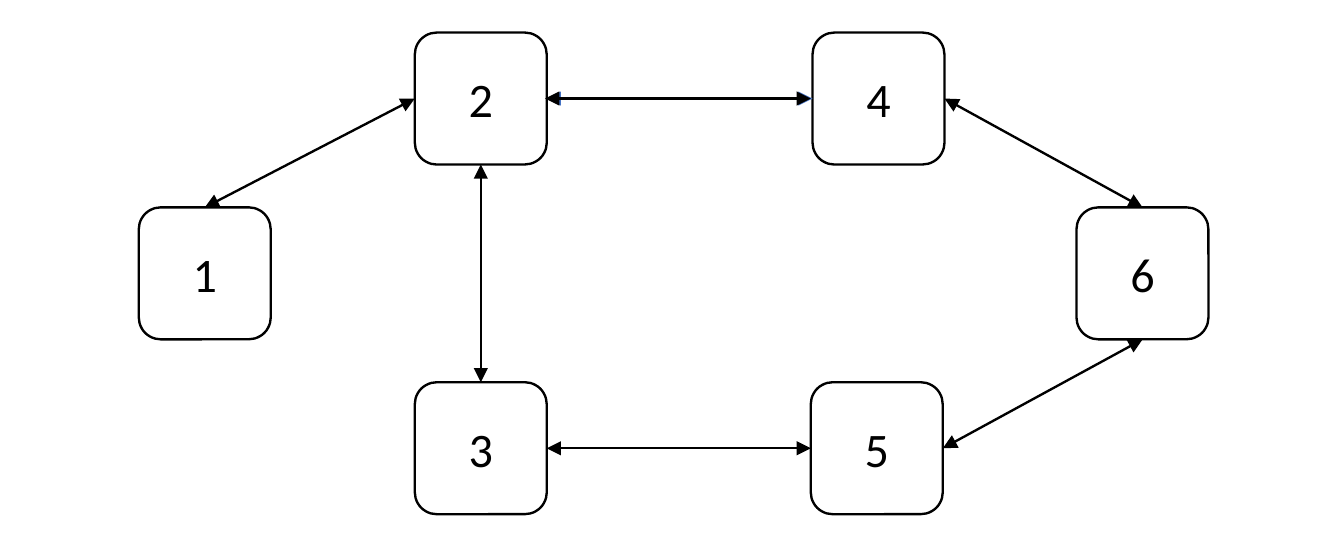
from lxml import etree
from pptx import Presentation
from pptx.dml.color import RGBColor
from pptx.enum.shapes import MSO_CONNECTOR, MSO_SHAPE
from pptx.enum.text import MSO_ANCHOR, PP_ALIGN
from pptx.oxml.ns import qn
from pptx.util import Inches, Pt

BLACK = RGBColor(0x00, 0x00, 0x00)
WHITE = RGBColor(0xFF, 0xFF, 0xFF)
BLUE = RGBColor(0x44, 0x72, 0xC4)
ROUNDED = MSO_SHAPE.ROUNDED_RECTANGLE
STRAIGHT = MSO_CONNECTOR.STRAIGHT
MIDDLE = MSO_ANCHOR.MIDDLE
CENTER = PP_ALIGN.CENTER

TOP, LEFT, BOTTOM, RIGHT = range(4)
NODE_SIZE = 0.77
UPPER_ROW, MIDDLE_ROW, LOWER_ROW = (0.19 + 1.02 * row for row in range(3))

NODES = {
    "5": (4.73, LOWER_ROW),
    "3": (2.42, LOWER_ROW),
    "6": (6.28, MIDDLE_ROW),
    "4": (4.74, UPPER_ROW),
    "2": (2.42, UPPER_ROW),
    "1": (0.81, MIDDLE_ROW),
}
LINKS = [
    ("2", LEFT, "1", TOP, BLACK, 1, 0),
    ("2", RIGHT, "4", LEFT, BLUE, 0.5, 0),
    ("4", RIGHT, "6", TOP, BLACK, 1, 0),
    ("6", BOTTOM, "5", RIGHT, BLACK, 1, 0),
    ("5", LEFT, "3", RIGHT, BLACK, 1, 0),
    ("3", TOP, "2", BOTTOM, BLACK, 1, 0),
    ("2", RIGHT, "4", LEFT, BLACK, 1, -0.01),
]
FRAME_FORMAT = {
    "vertical_anchor": MIDDLE,
    "margin_left": Inches(0.17),
    "margin_right": Inches(0.17),
    "margin_top": Inches(0.08),
    "margin_bottom": Inches(0.08),
    "word_wrap": True,
}
FONT_FORMAT = {"name": "Calibri", "size": Pt(20.2)}


def apply_format(target, values):
    for name, value in values.items():
        setattr(target, name, value)


def set_line(line, color, width):
    line.color.rgb = color
    line.width = Pt(width)


def add_node(slide, label, left, top):
    shape = slide.shapes.add_shape(
        ROUNDED, Inches(left), Inches(top), Inches(NODE_SIZE), Inches(NODE_SIZE))
    shape.shadow.inherit = False
    shape.fill.solid()
    shape.fill.fore_color.rgb = WHITE
    set_line(shape.line, BLACK, 1)
    apply_format(shape.text_frame, FRAME_FORMAT)
    paragraph = shape.text_frame.paragraphs[0]
    paragraph.alignment = CENTER
    run = paragraph.add_run()
    run.text = label
    apply_format(run.font, FONT_FORMAT)
    run.font.color.rgb = BLACK
    return shape


def add_link(slide, start, start_side, end, end_side, color, width, shift):
    connector = slide.shapes.add_connector(STRAIGHT, 0, 0, 0, 0)
    connector.begin_connect(start, start_side)
    connector.end_connect(end, end_side)
    connector.left += Inches(shift)
    set_line(connector.line, color, width)
    properties = connector.element.spPr
    outline = properties.find(qn("a:ln"))
    for arrow_end in ("a:headEnd", "a:tailEnd"):
        etree.SubElement(outline, qn(arrow_end), type="triangle")
    etree.SubElement(properties, qn("a:effectLst"))


presentation = Presentation()
presentation.slide_width = Inches(7.84)
presentation.slide_height = Inches(3.15)
slide = presentation.slides.add_slide(presentation.slide_layouts[6])

nodes = {label: add_node(slide, label, *place) for label, place in NODES.items()}
for start, start_side, end, end_side, *style in LINKS:
    add_link(slide, nodes[start], start_side, nodes[end], end_side, *style)

presentation.save("out.pptx")
